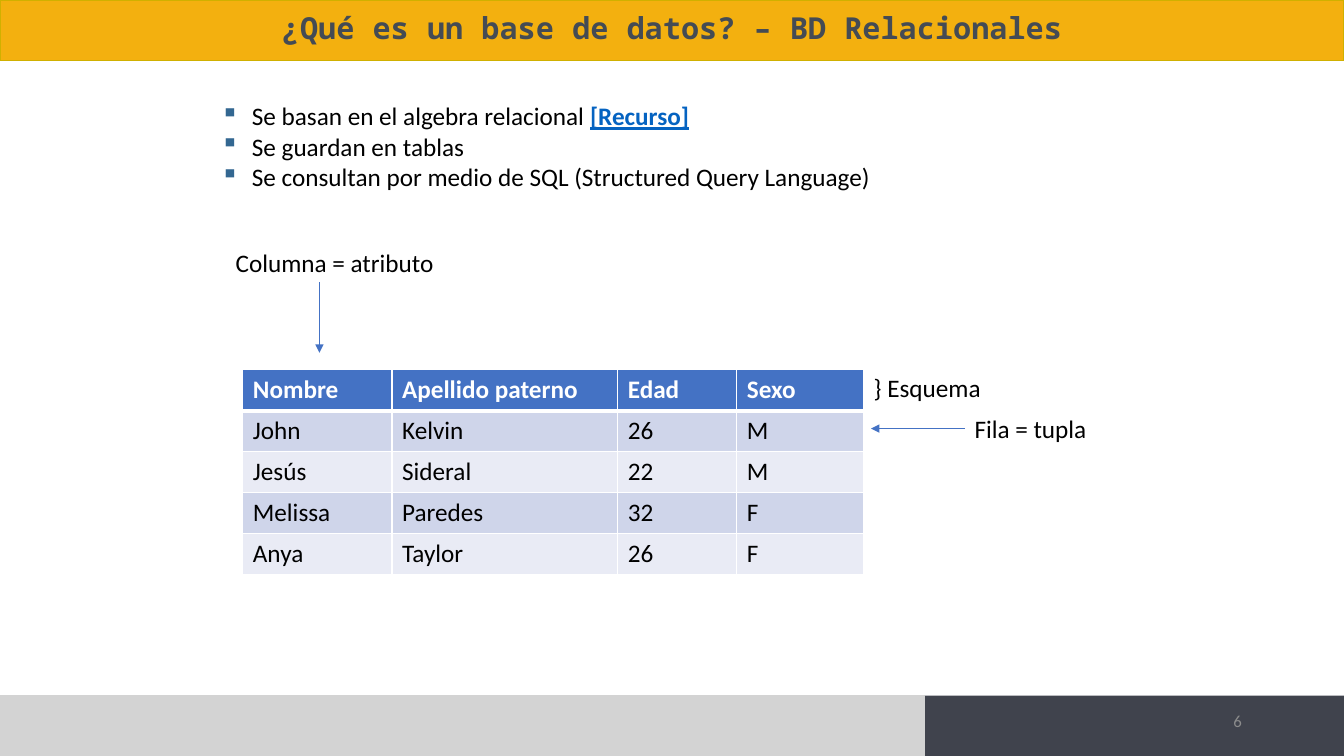
from dataclasses import dataclass

from lxml.etree import SubElement
from pptx import Presentation
from pptx.dml.color import RGBColor
from pptx.enum.shapes import MSO_CONNECTOR, MSO_SHAPE
from pptx.enum.text import MSO_ANCHOR, PP_ALIGN
from pptx.oxml.ns import qn
from pptx.slide import Slide
from pptx.table import _Cell
from pptx.text.text import TextFrame, _Paragraph, _Run
from pptx.util import Cm, Pt

SLIDE_WIDTH, SLIDE_HEIGHT = 33.87, 19.05
BAND_HEIGHT, FOOTER_SPLIT = 1.52, 23.29
FOOTER_TOP = SLIDE_HEIGHT - BAND_HEIGHT
BLACK, WHITE, BLUE = "000000", "FFFFFF", "4472C4"
THIN, THICK = 1, 3


@dataclass
class Band:
    """A coloured bar of the slide frame."""
    left: float
    top: float
    width: float
    fill: str
    outline: str | None = None


@dataclass
class Label:
    """A one-line text with its place and look."""
    text: str
    left: float
    top: float
    width: float
    height: float = 1.02
    size: float = 18
    color: str = BLACK
    font: str = "Calibri"
    bold: bool = False
    wrap: bool = False
    align: PP_ALIGN = PP_ALIGN.LEFT
    anchor: MSO_ANCHOR = MSO_ANCHOR.TOP
    line_spacing: float = 1.0


@dataclass
class Arrow:
    """A pointer from a label to the table."""
    start: tuple[float, float]
    end: tuple[float, float]


BANDS = [
    Band(FOOTER_SPLIT, FOOTER_TOP, SLIDE_WIDTH - FOOTER_SPLIT, "40434D"),
    Band(0, FOOTER_TOP, FOOTER_SPLIT, "D3D3D3", "D3D3D3"),
    Band(0, 0, SLIDE_WIDTH, "F3B00F", "D0B000"),
]
LABELS = [
    Label("¿Qué es un base de datos? – BD Relacionales", 0, 0.3, SLIDE_WIDTH, 0.89, 21.6,
          "444B54", "Noto Sans Mono", True, True, PP_ALIGN.CENTER, MSO_ANCHOR.MIDDLE, 0.9),
    Label("6", 23.93, 17.65, 7.62, size=12, color="8C8C8C", wrap=True,
          align=PP_ALIGN.RIGHT, anchor=MSO_ANCHOR.MIDDLE),
    Label("Columna = atributo", 5.69, 6.1, 5.56),
    Label("Fila = tupla", 24.31, 10.29, 3.38),
    Label("} Esquema", 21.77, 9.25, 3.23),
]
ARROWS = [Arrow((8.05, 7.11), (8.05, 8.89)), Arrow((24.31, 10.8), (21.95, 10.8))]
FACTS = [
    "Se basan en el algebra relacional ",
    "Se guardan en tablas",
    "Se consultan por medio de SQL (Structured Query Language)",
]
COLUMN_WIDTHS = [3.76, 5.69, 3.0, 3.2]
ROW_HEIGHT = 1.03
PEOPLE = [
    ("Nombre", "Apellido paterno", "Edad", "Sexo"),
    ("John", "Kelvin", "26", "M"),
    ("Jesús", "Sideral", "22", "M"),
    ("Melissa", "Paredes", "32", "F"),
    ("Anya", "Taylor", "26", "F"),
]


def rgb(color: str) -> RGBColor:
    """Turn a hex string into a colour."""
    return RGBColor.from_string(color)


def style_run(run: _Run, color: str = BLACK, size: float = 18,
              font: str = "Calibri", bold: bool = False) -> None:
    """Set the font of a run."""
    run.font.name, run.font.size, run.font.bold = font, Pt(size), bold
    run.font.color.rgb = rgb(color)


def add_frame(slide: Slide, left: float, top: float, width: float, height: float,
              wrap: bool) -> TextFrame:
    """Add a text box and return its text frame."""
    frame = slide.shapes.add_textbox(Cm(left), Cm(top), Cm(width), Cm(height)).text_frame
    frame.word_wrap = wrap
    return frame


def draw_band(slide: Slide, band: Band) -> None:
    """Draw one bar of the frame."""
    bar = slide.shapes.add_shape(MSO_SHAPE.RECTANGLE, Cm(band.left), Cm(band.top),
                                 Cm(band.width), Cm(BAND_HEIGHT))
    bar.shadow.inherit = False
    bar.fill.solid()
    bar.fill.fore_color.rgb = rgb(band.fill)
    if band.outline:
        bar.line.color.rgb = rgb(band.outline)
        bar.line.width = Pt(1)
    else:
        bar.line.fill.background()


def draw_label(slide: Slide, label: Label) -> None:
    """Draw one label."""
    frame = add_frame(slide, label.left, label.top, label.width, label.height, label.wrap)
    frame.vertical_anchor = label.anchor
    line = frame.paragraphs[0]
    line.text = label.text
    line.alignment, line.line_spacing = label.align, label.line_spacing
    style_run(line.runs[0], label.color, label.size, label.font, label.bold)


def draw_arrow(slide: Slide, arrow: Arrow) -> None:
    """Draw a thin line with a triangle at its end."""
    pointer = slide.shapes.add_connector(
        MSO_CONNECTOR.STRAIGHT, *map(Cm, arrow.start), *map(Cm, arrow.end))
    pointer.line.color.rgb = rgb(BLUE)
    pointer.line.width = Pt(0.5)
    SubElement(pointer.line._get_or_add_ln(), qn("a:tailEnd"), type="triangle")
    SubElement(pointer._element.spPr, qn("a:effectLst"))


def add_bullet(paragraph: _Paragraph) -> None:
    """Give a paragraph a square bullet with a hanging indent."""
    properties = paragraph._p.get_or_add_pPr()
    properties.set("marL", str(Cm(0.79)))
    properties.set("indent", str(Cm(-0.79)))
    SubElement(SubElement(properties, qn("a:buClr")), qn("a:srgbClr"), val="336791")
    SubElement(properties, qn("a:buChar"), char="▪")


def draw_facts(slide: Slide) -> None:
    """Draw the bulleted facts and the resource mention."""
    frame = add_frame(slide, 5.31, 2.41, 22.58, 2.57, True)
    frame.text = "\n".join(FACTS)
    for fact in frame.paragraphs:
        add_bullet(fact)
        style_run(fact.runs[0])
    resource = frame.paragraphs[0].add_run()
    resource.text = "[Recurso]"
    style_run(resource, "0563C1", bold=True)
    resource.font.underline = True


def set_borders(cell: _Cell, top: float, bottom: float) -> None:
    """Draw white borders round a cell."""
    properties = cell._tc.get_or_add_tcPr()
    for side, width in (("L", THIN), ("R", THIN), ("T", top), ("B", bottom)):
        border = SubElement(properties, qn(f"a:ln{side}"), w=str(Pt(width)))
        SubElement(SubElement(border, qn("a:solidFill")), qn("a:srgbClr"), val=WHITE)


def draw_people(slide: Slide) -> None:
    """Draw the table of people with its header and bands."""
    people = slide.shapes.add_table(
        len(PEOPLE), len(COLUMN_WIDTHS), Cm(6.12), Cm(9.32),
        Cm(sum(COLUMN_WIDTHS)), Cm(ROW_HEIGHT * len(PEOPLE))).table
    for column, width in zip(people.columns, COLUMN_WIDTHS):
        column.width = Cm(width)
    for index, (row, person) in enumerate(zip(people.rows, PEOPLE)):
        row.height = Cm(ROW_HEIGHT)
        header = index == 0
        fill = BLUE if header else ("E9EBF5", "CFD5EA")[index % 2]
        for cell, value in zip(row.cells, person):
            set_borders(cell, THICK if index == 1 else THIN, THICK if header else THIN)
            cell.fill.solid()
            cell.fill.fore_color.rgb = rgb(fill)
            cell.text_frame.text = value
            style_run(cell.text_frame.paragraphs[0].runs[0],
                      WHITE if header else BLACK, bold=header)


def main() -> None:
    """Build and save the slide."""
    deck = Presentation()
    deck.slide_width, deck.slide_height = Cm(SLIDE_WIDTH), Cm(SLIDE_HEIGHT)
    slide = deck.slides.add_slide(deck.slide_layouts[6])
    for band in BANDS:
        draw_band(slide, band)
    draw_people(slide)
    draw_facts(slide)
    for arrow in ARROWS:
        draw_arrow(slide, arrow)
    for label in LABELS:
        draw_label(slide, label)
    deck.save("out.pptx")


main()
